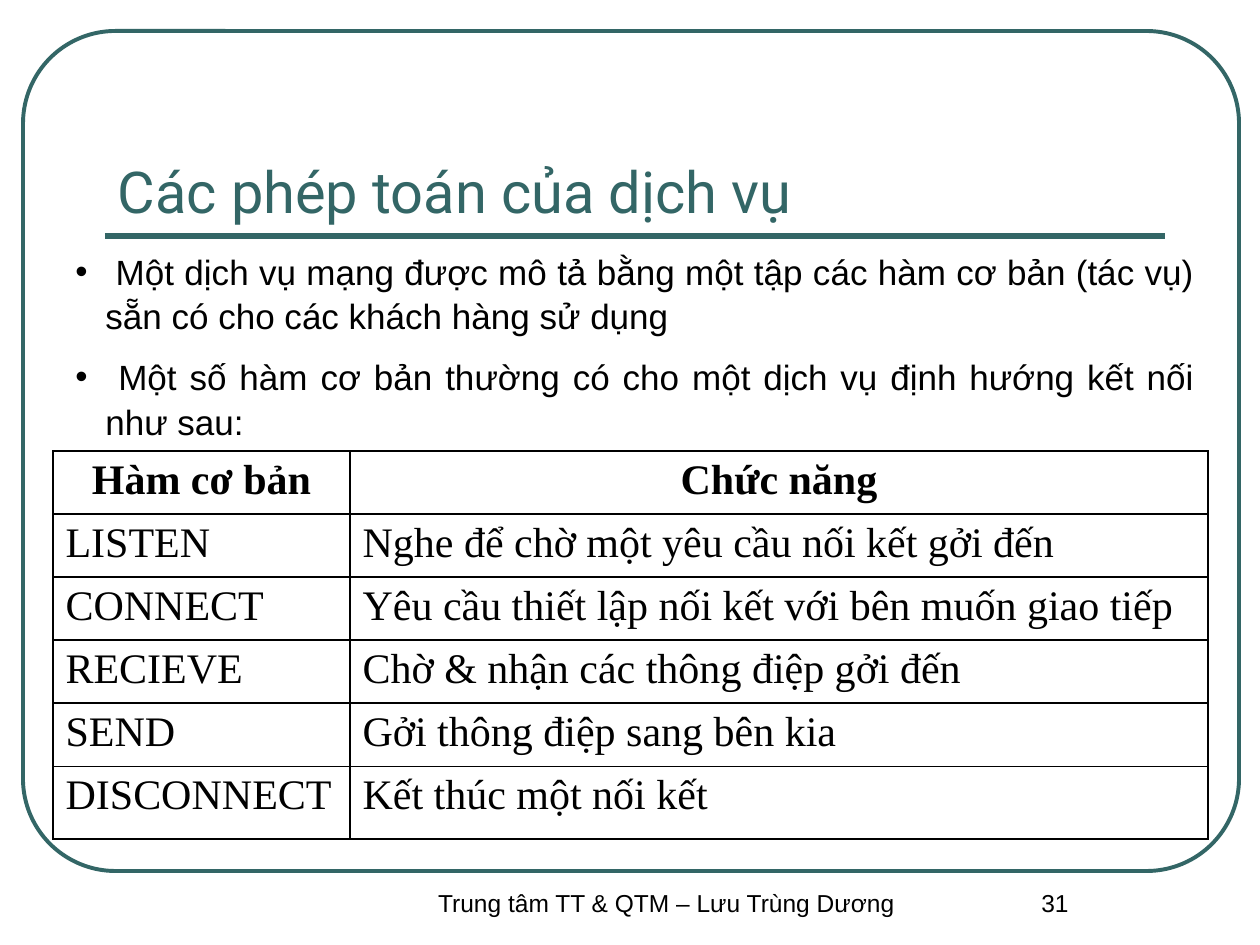
from lxml import etree
from pptx import Presentation
from pptx import util as u
from pptx.dml.color import RGBColor
from pptx.enum import shapes, text
from pptx.oxml.ns import qn

PX = 914400 / 126
TEAL, BLACK = "336666", "000000"
ALIGN = text.PP_ALIGN

TITLE = "Các phép toán của dịch vụ"
BULLETS = [
    " Một dịch vụ mạng được mô tả bằng một tập các hàm cơ bản (tác vụ) "
    "sẵn có cho các khách hàng sử dụng",
    " Một số hàm cơ bản thường có cho một dịch vụ định hướng kết nối như sau:",
]
ROWS = [
    ("Hàm cơ bản", "Chức năng"),
    ("LISTEN", "Nghe để chờ một yêu cầu nối kết gởi đến"),
    ("CONNECT", "Yêu cầu thiết lập nối kết với bên muốn giao tiếp"),
    ("RECIEVE", "Chờ & nhận các thông điệp gởi đến"),
    ("SEND", "Gởi thông điệp sang bên kia"),
    ("DISCONNECT", "Kết thúc một nối kết"),
]
COL_WIDTHS = [297, 858]
ROW_HEIGHTS = [61] * 5 + [73]
FOOTERS = [  # text, left, width
    ("Trung tâm TT & QTM – Lưu Trùng Dương", 388, 557),
    ("31", 945, 220),
]


def px(*values):
    return [u.Emu(round(v * PX)) for v in values]


def rgb(color):
    return RGBColor.from_string(color)


def style(p, font, size, color=BLACK, align=ALIGN.LEFT, bold=False):
    p.alignment = align
    for r in p.runs:
        r.font.name, r.font.size, r.font.bold = font, u.Pt(size), bold
        r.font.color.rgb = rgb(color)


def hang(p, indent):
    pPr = p._p.get_or_add_pPr()
    emu = px(indent)[0]
    pPr.set("marL", str(emu))
    pPr.set("indent", str(-emu))
    return pPr


def add_text(slide, box, paragraphs):
    tf = slide.shapes.add_textbox(*px(*box)).text_frame
    tf.word_wrap = True
    tf.text = "\n".join(paragraphs)
    return tf


def add_borders(cell):
    tcPr = cell._tc.get_or_add_tcPr()
    for side in ("a:lnL", "a:lnR", "a:lnT", "a:lnB"):
        ln = etree.SubElement(tcPr, qn(side), w=str(u.Pt(1)))
        fill = etree.SubElement(ln, qn("a:solidFill"))
        etree.SubElement(fill, qn("a:srgbClr"), val=BLACK)


prs = Presentation()
prs.slide_width, prs.slide_height = px(1260, 945)
slide = prs.slides.add_slide(prs.slide_layouts[5])

# Rounded frame and title rule
frame = slide.shapes.add_shape(
    shapes.MSO_SHAPE.ROUNDED_RECTANGLE, *px(23, 31, 1216, 840))
frame.adjustments[0] = 0.11
frame.shadow.inherit = False
frame.fill.background()
rule = slide.shapes.add_connector(
    shapes.MSO_CONNECTOR.STRAIGHT, *px(105, 236, 1165, 236))
etree.SubElement(rule._element.spPr, qn("a:effectLst"))
for sp, width in ((frame, 2.25), (rule, 3)):
    sp.line.color.rgb = rgb(TEAL)
    sp.line.width = u.Pt(width)

# Title
title = slide.shapes.title
title.left, title.top, title.width, title.height = px(105, 73, 1061, 158)
tf = title.text_frame
tf.text = TITLE
tf.vertical_anchor = text.MSO_ANCHOR.BOTTOM
tf.auto_size = text.MSO_AUTO_SIZE.NONE
style(tf.paragraphs[0], "Roboto", 33, TEAL)

# Bullets
tf = add_text(slide, (63, 242, 1144, 202), BULLETS)
for i, p in enumerate(tf.paragraphs):
    pPr = hang(p, 30)
    etree.SubElement(pPr, qn("a:buFont"), typeface="Arial")
    etree.SubElement(pPr, qn("a:buChar"), char="•")
    p.line_spacing = 1.05
    if i:
        p.space_before = u.Pt(10)
    style(p, "Arial", 20, align=ALIGN.JUSTIFY)

# Table of primitives
table = slide.shapes.add_table(
    len(ROWS), len(COL_WIDTHS),
    *px(53, 451, sum(COL_WIDTHS), sum(ROW_HEIGHTS))).table
table.horz_banding = False
for col, width in zip(table.columns, px(*COL_WIDTHS)):
    col.width = width
for row, height in zip(table.rows, px(*ROW_HEIGHTS)):
    row.height = height
for i, row in enumerate(ROWS):
    for j, label in enumerate(row):
        cell = table.cell(i, j)
        cell.text = label
        add_borders(cell)
        cell.fill.background()
        p = cell.text_frame.paragraphs[0]
        hang(p, 48)
        style(p, "Times New Roman", 24, bold=i == 0,
              align=ALIGN.JUSTIFY if i else ALIGN.CENTER)

# Footer and slide number
for label, left, width in FOOTERS:
    tf = add_text(slide, (left, 882, width, 63), [label])
    style(tf.paragraphs[0], "Arial", 14, align=ALIGN.CENTER)

prs.save("out.pptx")
